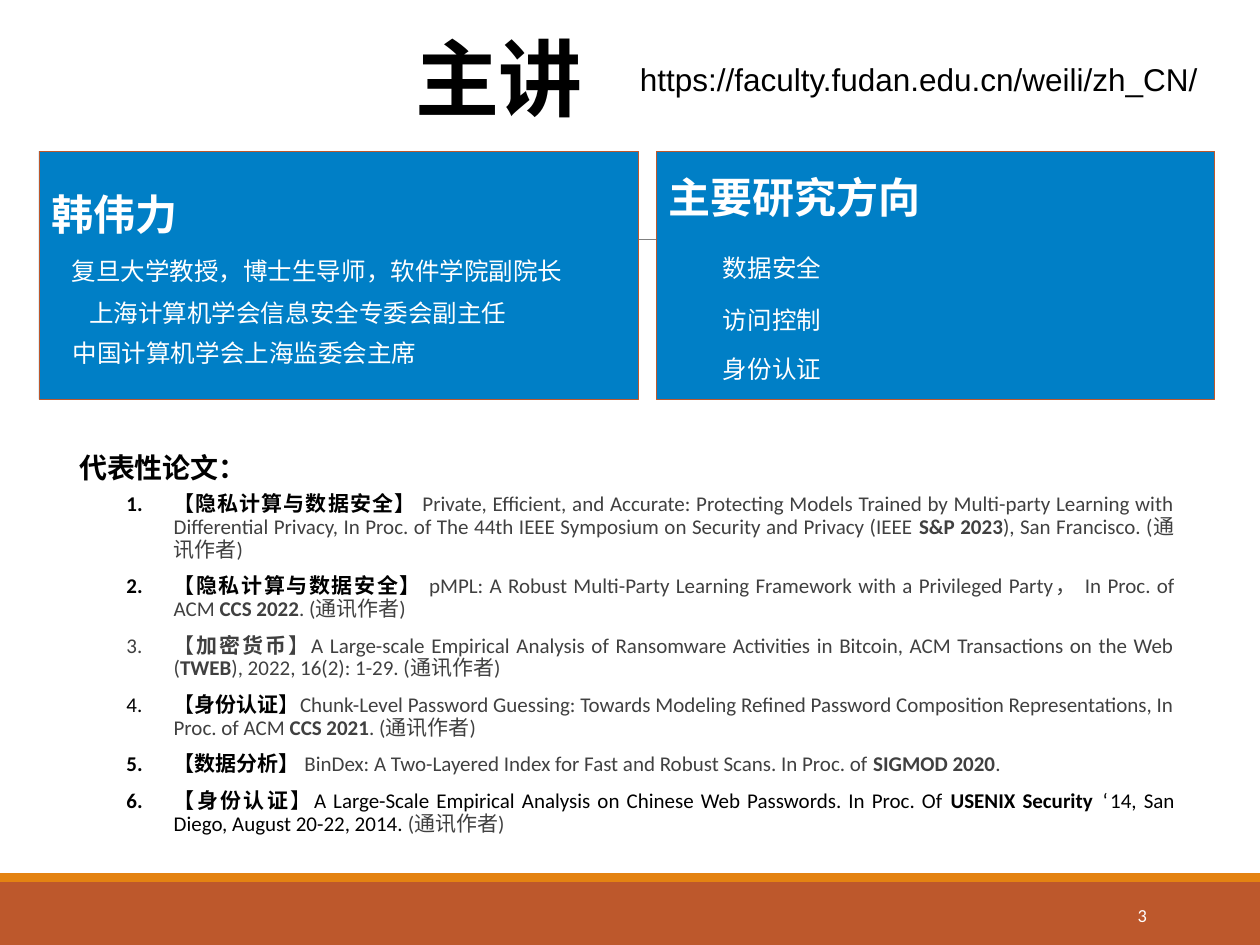
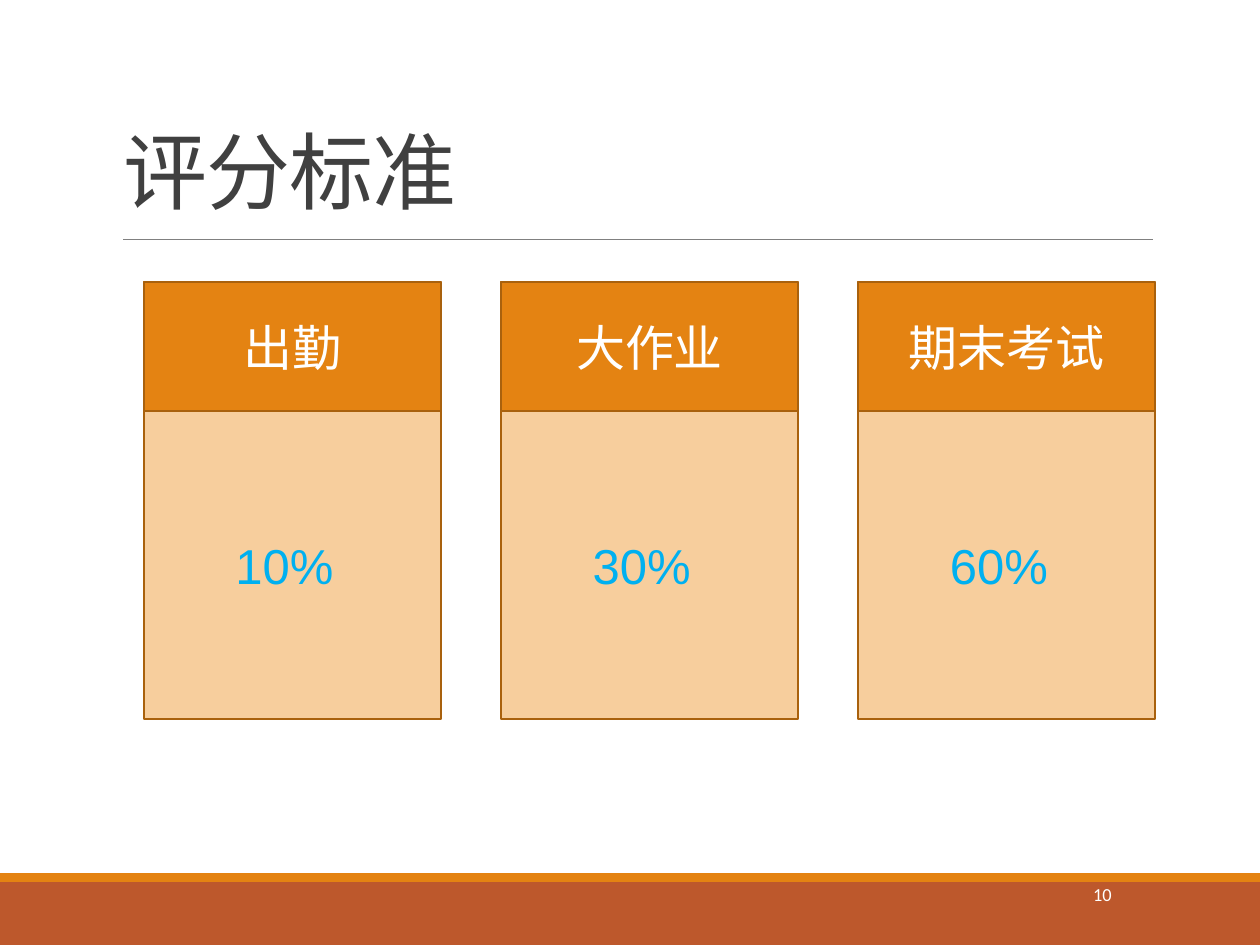
import dataclasses
import typing

import pptx
import pptx.dml.color
import pptx.enum.shapes
import pptx.enum.text
import pptx.oxml.ns
import pptx.util
from lxml import etree

RGBColor = pptx.dml.color.RGBColor
Pt = pptx.util.Pt
Align = pptx.enum.text.PP_ALIGN
Anchor = pptx.enum.text.MSO_ANCHOR

RUST = RGBColor(0xBD, 0x58, 0x2C)
ORANGE = RGBColor(0xE4, 0x83, 0x12)
BROWN = RGBColor(0xA9, 0x61, 0x0D)
PEACH = RGBColor(0xF7, 0xCE, 0x9D)
BLUE = RGBColor(0x00, 0x7F, 0xC6)
SKY = RGBColor(0x00, 0xB0, 0xF0)
RULE_GREY = RGBColor(0x80, 0x80, 0x80)
INK = RGBColor(0x40, 0x40, 0x40)
BLACK = RGBColor(0, 0, 0)
WHITE = RGBColor(0xFF, 0xFF, 0xFF)

LATIN, BODY, HEADING = "Arial", "Calibri", "Noto Sans CJK SC"

# The slide is a grid of 100 columns by 75 rows of square cells.
COLUMNS, ROWS = 100, 75
CELL = pptx.util.Inches(10) // COLUMNS


def cells(count: float) -> int:
    return round(count * CELL)


@dataclasses.dataclass(frozen=True)
class Box:
    """A place on the grid, in columns and rows."""
    left: float
    top: float
    width: float
    height: float

    def lengths(self) -> tuple[int, ...]:
        return tuple(cells(value) for value in dataclasses.astuple(self))


@dataclasses.dataclass(frozen=True)
class Run:
    text: str
    color: RGBColor = INK
    bold: bool = False
    size: float = 12
    font: str = BODY
    spacing: int = 0


@dataclasses.dataclass(frozen=True)
class Block:
    """A paragraph: its runs, its format values, its left margin and numbering."""
    runs: list[Run]
    format: dict[str, typing.Any] = dataclasses.field(default_factory=dict)
    margin: float = 0
    numbered: bool = False


@dataclasses.dataclass(frozen=True)
class Panel:
    box: Box
    blocks: list[Block]


@dataclasses.dataclass(frozen=True)
class Grade:
    name: str
    share: str


def add_run(paragraph, run: Run) -> None:
    text_run = paragraph.add_run()
    text_run.text = run.text
    values = {"name": run.font, "size": Pt(run.size), "bold": run.bold}
    for name, value in values.items():
        setattr(text_run.font, name, value)
    text_run.font.color.rgb = run.color
    properties = text_run.font._element
    properties.set("lang", "zh-CN")
    if run.spacing:
        properties.set("spc", str(run.spacing))
    east_asian = etree.SubElement(properties, pptx.oxml.ns.qn("a:ea"))
    east_asian.set("typeface", run.font)


def add_block(paragraph, block: Block) -> None:
    for name, value in block.format.items():
        setattr(paragraph, name, value)
    properties = paragraph._p.get_or_add_pPr()
    properties.set("marL", str(cells(block.margin)))
    if block.numbered:
        properties.set("indent", str(-cells(3.75)))
        bullet = etree.SubElement(properties, pptx.oxml.ns.qn("a:buAutoNum"))
        bullet.set("type", "arabicPeriod")
    for run in block.runs:
        add_run(paragraph, run)


def write(shape, blocks: list[Block], anchor=Anchor.TOP, wrap: bool = True) -> None:
    frame = shape.text_frame
    frame.word_wrap = wrap
    frame.vertical_anchor = anchor
    for index, block in enumerate(blocks):
        add_block(frame.add_paragraph() if index else frame.paragraphs[0], block)


def add_text(slide, box: Box, blocks: list[Block], anchor=Anchor.TOP, wrap: bool = True) -> None:
    write(slide.shapes.add_textbox(*box.lengths()), blocks, anchor, wrap)


def add_rectangle(slide, box: Box, fill: RGBColor,
                  line: RGBColor | None = None, line_width: float = 0.5):
    kind = pptx.enum.shapes.MSO_SHAPE.RECTANGLE
    shape = slide.shapes.add_shape(kind, *box.lengths())
    shape.shadow.inherit = False
    shape.fill.solid()
    shape.fill.fore_color.rgb = fill
    if line is None:
        shape.line.fill.background()
    else:
        shape.line.color.rgb = line
        shape.line.width = Pt(line_width)
    return shape


def add_title(slide, box: Box, text: str, color: RGBColor, bold: bool = False) -> None:
    run = Run(text, color, bold, 48, spacing=-50)
    add_text(slide, box, [Block([run], {"line_spacing": 0.85})], Anchor.BOTTOM)


def add_base_slide(presentation, number: int, number_left: float, number_top: float):
    """Add a slide with the footer bands, the rule under the title and its number."""
    slide = presentation.slides.add_slide(presentation.slide_layouts[6])
    add_rectangle(slide, Box(0, 70, COLUMNS, 5), RUST)
    add_rectangle(slide, Box(0, 69.3, COLUMNS, 0.7), ORANGE)
    rule = slide.shapes.add_connector(pptx.enum.shapes.MSO_CONNECTOR.STRAIGHT,
                                      cells(9.8), cells(19), cells(91.5), cells(19))
    rule.line.color.rgb = RULE_GREY
    rule.line.width = Pt(0.5)
    etree.SubElement(rule._element.spPr, pptx.oxml.ns.qn("a:effectLst"))
    add_text(slide, Box(number_left, number_top, 10.8, 4),
             [Block([Run(str(number), WHITE, size=10.5)], {"alignment": Align.RIGHT})],
             Anchor.MIDDLE)
    return slide


def panel_heading(text: str) -> Block:
    return Block([Run(text, WHITE, True, 24, HEADING)],
                 {"alignment": Align.LEFT, "line_spacing": 1.1, "space_before": Pt(10)})


def panel_line(text: str, margin: float, before: float, spacing: float = 1.0) -> Block:
    return Block([Run(text, WHITE, size=14, font=LATIN)],
                 {"alignment": Align.LEFT, "line_spacing": spacing,
                  "space_before": Pt(before)}, margin)


PANELS = [
    Panel(Box(3.1, 12, 47.6, 19.7), [
        panel_heading("韩伟力"),
        panel_line("复旦大学教授，博士生导师，软件学院副院长", 1.6, 10),
        panel_line("上海计算机学会信息安全专委会副主任", 3, 7),
        panel_line("中国计算机学会上海监委会主席", 1.7, 6),
    ]),
    Panel(Box(52.1, 12, 44.3, 19.7), [
        panel_heading("主要研究方向"),
        panel_line("数据安全", 4.3, 16, 1.1),
        panel_line("访问控制", 4.3, 11, 1.1),
        panel_line("身份认证", 4.3, 10, 1.1),
    ]),
]

AUTHOR = "(通讯作者)"
PAPERS = [
    [Run("【隐私计算与数据安全】 ", BLACK, True),
     Run("Private, Efficient, and Accurate: Protecting Models Trained by Multi-party "
         "Learning with Differential Privacy, In Proc. of The 44th IEEE Symposium on "
         "Security and Privacy (IEEE "),
     Run("S&P 2023", bold=True), Run("), San Francisco. " + AUTHOR)],
    [Run("【隐私计算与数据安全】 ", BLACK, True),
     Run("pMPL: A Robust Multi-Party Learning Framework with a Privileged Party， "
         "In Proc. of ACM "),
     Run("CCS 2022", bold=True), Run(". " + AUTHOR)],
    [Run("【"), Run("加密货币", bold=True),
     Run("】A Large-scale Empirical Analysis of Ransomware Activities in Bitcoin, "
         "ACM Transactions on the Web ("),
     Run("TWEB", bold=True), Run("), 2022, 16(2): 1-29. " + AUTHOR)],
    [Run("【", BLACK), Run("身份认证", BLACK, True), Run("】", BLACK),
     Run("Chunk-Level Password Guessing: Towards Modeling Refined Password "
         "Composition Representations, In Proc. of ACM "),
     Run("CCS 2021", bold=True), Run(". " + AUTHOR)],
    [Run("【数据分析】 ", BLACK, True),
     Run("BinDex: A Two-Layered Index for Fast and Robust Scans. In Proc. of "),
     Run("SIGMOD 2020", bold=True), Run(".")],
    [Run("【身份认证", BLACK, True),
     Run("】A Large-Scale Empirical Analysis on Chinese Web Passwords. In Proc. Of ", BLACK),
     Run("USENIX Security ", BLACK, True),
     Run("‘14, San Diego, August 20-22, 2014. ", BLACK), Run(AUTHOR)],
]
PAPER_FORMAT = {"alignment": Align.JUSTIFY, "line_spacing": 0.9,
                "space_before": Pt(5), "space_after": Pt(3)}

GRADES = [Grade("出勤", "10%"), Grade("大作业", "30%"), Grade("期末考试", "60%")]
GRADE_LEFT, GRADE_TOP, GRADE_WIDTH, GRADE_STEP = 11.4, 22.4, 23.6, 28.35


def add_lecturer_slide(presentation) -> None:
    slide = add_base_slide(presentation, 3, 81.2, 70.6)
    for panel in PANELS:
        shape = add_rectangle(slide, panel.box, BLUE, RUST)
        write(shape, panel.blocks, Anchor.MIDDLE)
    heading = Block([Run("代表性论文：", BLACK, True, 16, HEADING)],
                    {"line_spacing": 0.9, "space_before": Pt(10)})
    papers = [Block(runs, PAPER_FORMAT, 7.5, True) for runs in PAPERS]
    add_text(slide, Box(5.3, 35.6, 88.9, 30.7), [heading, *papers])
    add_title(slide, Box(32, 2.2, 18.8, 8.4), "主讲", BLACK, True)
    address = Run("https://faculty.fudan.edu.cn/weili/zh_CN/", BLACK, size=18, font=LATIN)
    add_text(slide, Box(49.8, 4.3, 46.7, 4), [Block([address])], wrap=False)


def add_grading_slide(presentation) -> None:
    slide = add_base_slide(presentation, 10, 78.4, 69)
    add_title(slide, Box(8.8, 2.1, 82.5, 15.9), "评分标准", INK)
    for index, grade in enumerate(GRADES):
        left = GRADE_LEFT + index * GRADE_STEP
        add_rectangle(slide, Box(left, GRADE_TOP, GRADE_WIDTH, 34.7), PEACH, BROWN, 1.25)
        header = add_rectangle(slide, Box(left, GRADE_TOP, GRADE_WIDTH, 10.2),
                               ORANGE, BROWN, 1.25)
        write(header, [Block([Run(grade.name, WHITE, size=28)],
                             {"alignment": Align.CENTER})], Anchor.MIDDLE)
        add_text(slide, Box(left + 6.3, 42, 12.3, 5.7),
                 [Block([Run(grade.share, SKY, size=28, font=LATIN)])])


def main() -> None:
    presentation = pptx.Presentation()
    presentation.slide_width = cells(COLUMNS)
    presentation.slide_height = cells(ROWS)
    add_lecturer_slide(presentation)
    add_grading_slide(presentation)
    presentation.save("out.pptx")


if __name__ == "__main__":
    main()
